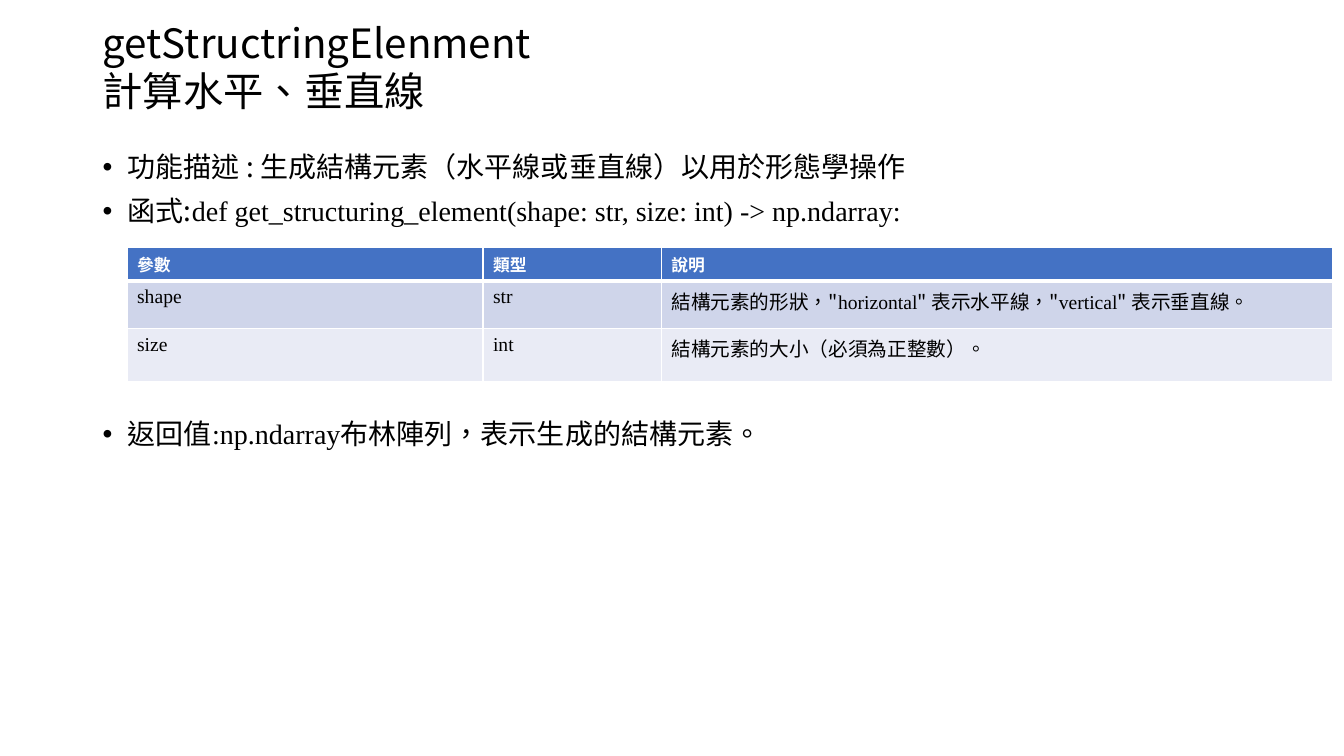
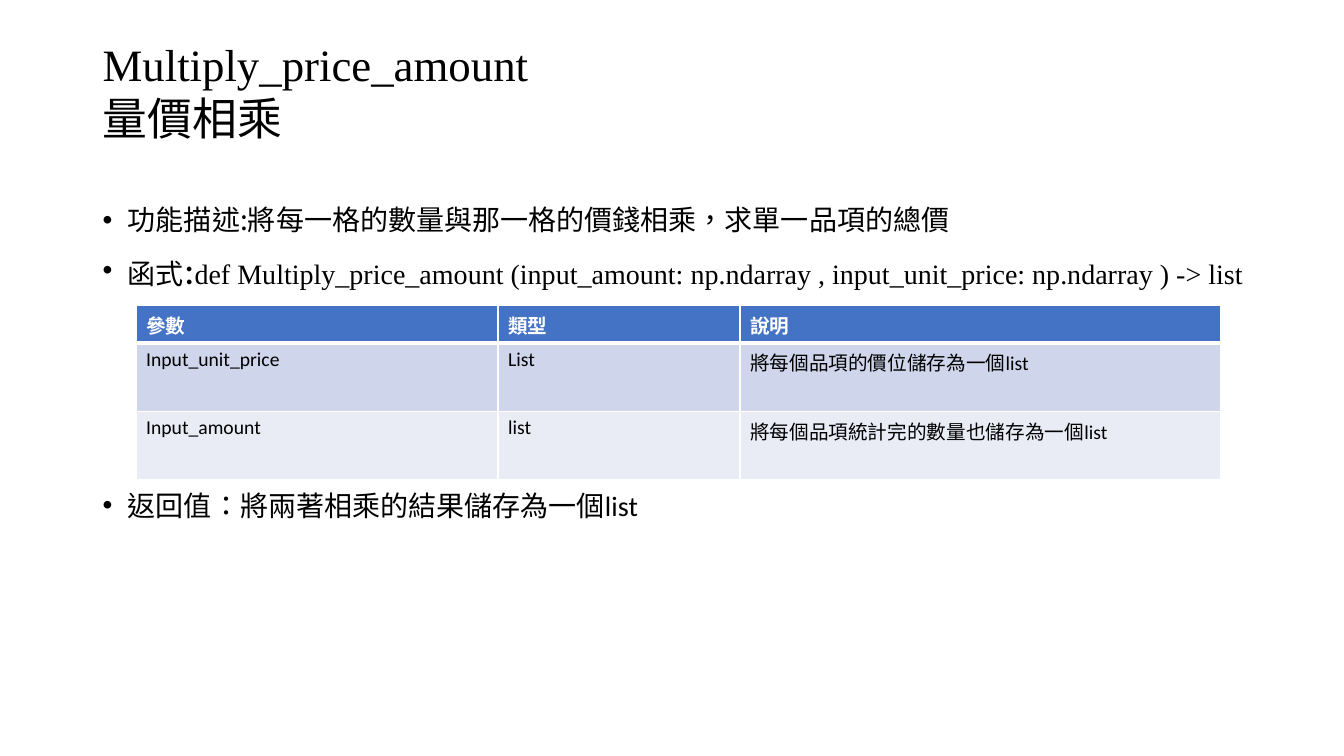
from lxml.etree import SubElement
from pptx import Presentation
from pptx.dml.color import RGBColor
from pptx.enum.lang import MSO_LANGUAGE_ID
from pptx.oxml.ns import qn
from pptx.util import Inches, Pt

BLACK = RGBColor(0, 0, 0)
WHITE = RGBColor(255, 255, 255)
BLUE = RGBColor(0x44, 0x72, 0xC4)
BANDS = RGBColor(0xCF, 0xD5, 0xEA), RGBColor(0xE9, 0xEB, 0xF5)
HAN, SERIF, SANS = "Noto Sans CJK SC", "Times New Roman", "Calibri"
LEFT, WIDE = 0.92, 11.5
HEAD = ["參數", "類型", "說明"]

# A line is a list of runs: (text, font) or (text, font, size).
SLIDES = [
    {
        "title": {
            "box": (LEFT, 0.13, WIDE, 1.2), "size": 28.8,
            "lines": [[("getStructringElenment", HAN)], [("計算水平、垂直線", HAN)]],
        },
        "box": (LEFT, 1.47, WIDE, 4.76),
        "gap": 138,
        "lines": [
            [("功能描述 : 生成結構元素（水平線或垂直線）以用於形態學操作", HAN)],
            [("函式:", HAN),
             ("def get_structuring_element(shape: str, size: int) -> np.ndarray:", SERIF)],
            [("返回值", HAN), (":np.ndarray", SERIF),
             ("布林陣列，表示生成的結構元素。", HAN)],
        ],
        "table": {
            "at": (1.26, 2.45), "cols": (3.53, 1.77, 6.66), "rows": (0.34, 0.47, 0.53),
            "head": (HAN, 12),
            "cells": [
                [[("shape", SERIF)], [("str", SERIF)],
                 [('結構元素的形狀，"', HAN), ("horizontal", SERIF),
                  ('" 表示水平線，"', HAN), ("vertical", SERIF),
                  ('" 表示垂直線。', HAN)]],
                [[("size", SERIF)], [("int", SERIF)],
                 [("結構元素的大小（必須為正整數）。", HAN)]],
            ],
        },
    },
    {
        "title": {
            "box": (LEFT, 0.32, WIDE, 1.3), "size": 32,
            "lines": [[("Multiply_price_amount", SERIF)], [("量價相乘", HAN)]],
        },
        "box": (LEFT, 2, 12.02, 4.76),
        "gap": 142,
        "lines": [
            [("功能描述:將每一格的數量與那一格的價錢相乘，求單一品項的總價", HAN)],
            [("函式", HAN), (":", SANS, 28),
             ("def Multiply_price_amount (input_amount: np.ndarray , "
              "input_unit_price: np.ndarray ) -> list", SERIF)],
            [("返回值：", HAN), ("將兩著相乘的結果儲存為一個list", SANS)],
        ],
        "table": {
            "at": (1.35, 3.03), "cols": (3.59, 2.4, 4.77), "rows": (0.37, 0.68, 0.68),
            "head": (SANS, 14),
            "cells": [
                [[("Input_unit_price", SANS)], [("List", SANS)],
                 [("將每個品項的價位儲存為一個list", SANS)]],
                [[("Input_amount", SANS)], [("list", SANS)],
                 [("將每個品項統計完的數量也儲存為一個list", SANS)]],
            ],
        },
    },
]


def write(para, runs, size, color=BLACK, bold=False):
    font = para.font
    font.size, font.bold = Pt(size), bold
    font.color.rgb = color
    for text, face, *own in runs:
        run = para.add_run()
        run.text = text
        run.font.name = face
        run.font.language_id = MSO_LANGUAGE_ID.TRADITIONAL_CHINESE
        if own:
            run.font.size = Pt(own[0])
        SubElement(run.font._element, qn("a:ea"), typeface=HAN)


def add_bullet(para):
    props = para._p.get_or_add_pPr()
    props.set("marL", str(Inches(0.25)))
    props.set("indent", str(-Inches(0.25)))
    SubElement(props, qn("a:buFont"), typeface="Arial")
    SubElement(props, qn("a:buChar"), char="•")


def add_text(slide, box, lines, size, pitch, gaps=None):
    """Write lines into a box; gaps gives the space above each bulleted line."""
    frame = slide.shapes.add_textbox(*map(Inches, box)).text_frame
    frame.word_wrap = True
    for i, runs in enumerate(lines):
        para = frame.add_paragraph() if i else frame.paragraphs[0]
        para.line_spacing = pitch
        if gaps:
            para.space_before = Pt(gaps[i])
            add_bullet(para)
        write(para, runs, size)


def add_edges(cell, row):
    """Draw white cell borders, with a thick rule under the header."""
    props = cell._tc.get_or_add_tcPr()
    widths = {"L": 1, "R": 1, "T": 3 if row == 1 else 1, "B": 1 if row else 3}
    for side, width in widths.items():
        line = SubElement(props, qn("a:ln" + side), w=str(Pt(width)))
        fill = SubElement(line, qn("a:solidFill"))
        SubElement(fill, qn("a:srgbClr"), val=str(WHITE))


def add_grid(slide, data):
    cols, rows = data["cols"], data["rows"]
    size = sum(cols), sum(rows)
    table = slide.shapes.add_table(
        len(rows), len(cols), *map(Inches, data["at"] + size)).table
    for col, width in zip(table.columns, cols):
        col.width = Inches(width)
    for row, height in zip(table.rows, rows):
        row.height = Inches(height)
    face, points = data["head"]
    cells = [[[(word, face)] for word in HEAD]] + data["cells"]
    for r, line in enumerate(cells):
        for c, runs in enumerate(line):
            cell = table.cell(r, c)
            add_edges(cell, r)
            cell.fill.solid()
            cell.fill.fore_color.rgb = BANDS[r - 1] if r else BLUE
            para = cell.text_frame.paragraphs[0]
            if r:
                write(para, runs, 14)
            else:
                write(para, runs, points, WHITE, True)


def main():
    deck = Presentation()
    deck.slide_width, deck.slide_height = Inches(13.33), Inches(7.5)
    for data in SLIDES:
        slide = deck.slides.add_slide(deck.slide_layouts[6])
        add_text(slide, pitch=1.0, **data["title"])
        add_text(slide, data["box"], data["lines"], 20, 0.9,
                 gaps=(0, 10, data["gap"]))
        add_grid(slide, data["table"])
    deck.save("out.pptx")


if __name__ == "__main__":
    main()
